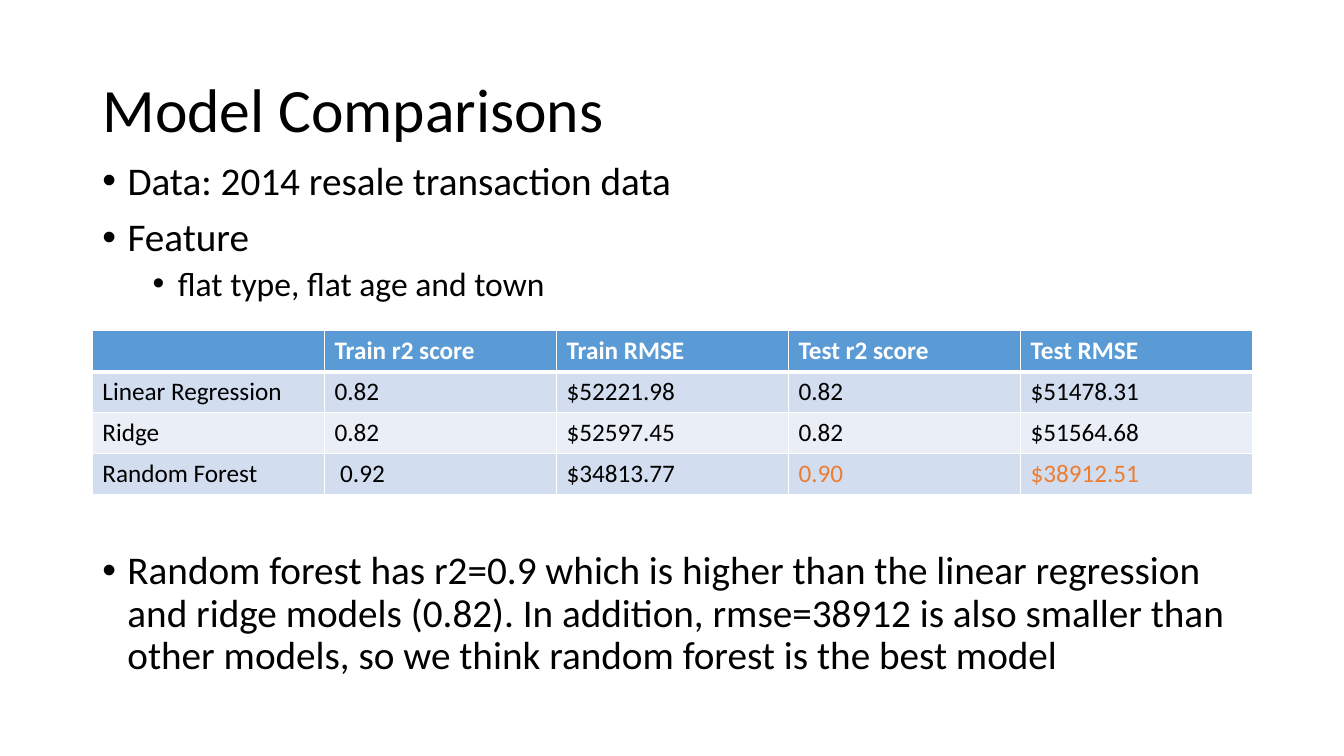
from dataclasses import dataclass

from lxml.etree import SubElement
from pptx import Presentation
from pptx.dml.color import RGBColor
from pptx.enum.text import MSO_ANCHOR, MSO_AUTO_SIZE, PP_ALIGN
from pptx.oxml.ns import qn
from pptx.util import Pt

PX = 9525  # EMU per px, 96 px to the inch


@dataclass(frozen=True)
class Theme:
    font: str = "Calibri"
    ink: str = "000000"
    white: str = "FFFFFF"
    header: str = "5B9BD5"
    bands: tuple = ("D2DEEF", "EAEFF7")
    best: str = "ED7D31"
    title_size: int = 44
    body_sizes: tuple = (28, 24)
    table_size: int = 18


theme = Theme()


def add_span(para, text, size, color, bold=False):
    span = para.add_run()
    span.text = text
    span.font.name = theme.font
    span.font.size = Pt(size)
    span.font.bold = bold
    span.font.color.rgb = RGBColor.from_string(color)


def add_border(cell, side, points):
    line = SubElement(cell._tc.get_or_add_tcPr(), qn(f"a:{side}"), w=str(Pt(points)))
    fill = SubElement(line, qn("a:solidFill"))
    SubElement(fill, qn("a:srgbClr"), val=theme.white)


deck = Presentation()
deck.slide_width, deck.slide_height = 1280 * PX, 720 * PX
page = deck.slides.add_slide(deck.slide_layouts[5])

# Title
title = page.shapes.title
title.left, title.top, title.width, title.height = 88 * PX, 38 * PX, 1104 * PX, 139 * PX
title.text_frame.auto_size = MSO_AUTO_SIZE.NONE
title.text_frame.vertical_anchor = MSO_ANCHOR.MIDDLE
para = title.text_frame.paragraphs[0]
para.alignment = PP_ALIGN.LEFT
para.line_spacing = 0.9
add_span(para, "Model Comparisons", theme.title_size, theme.ink)

# Bullet lists above and below the table: (left, top, width, height), (level, text)
bullet_lists = [
    ((88, 149, 595, 160), [
        (0, "Data: 2014 resale transaction data"),
        (0, "Feature"),
        (1, "flat type, flat age and town"),
    ]),
    ((88, 520, 1104, 160), [
        (0, "Random forest has r2=0.9 which is higher than the linear regression "
            "and ridge models (0.82). In addition, rmse=38912 is also smaller than "
            "other models, so we think random forest is the best model"),
    ]),
]
for place, items in bullet_lists:
    box = page.shapes.add_textbox(*(length * PX for length in place))
    box.text_frame.word_wrap = True
    for index, (level, text) in enumerate(items):
        para = box.text_frame.paragraphs[0] if index == 0 else box.text_frame.add_paragraph()
        para.level = level
        para.line_spacing = 0.9
        para.space_before = Pt((10, 5)[level])
        properties = para._p.get_or_add_pPr()
        properties.set("marL", str((24 + 48 * level) * PX))
        properties.set("indent", str(-24 * PX))
        SubElement(properties, qn("a:buFont"), typeface="Arial")
        SubElement(properties, qn("a:buChar"), char="•")
        add_span(para, text, theme.body_sizes[level], theme.ink)

# Score table
scores = [
    ["", "Train r2 score", "Train RMSE", "Test r2 score", "Test RMSE"],
    ["Linear Regression", "0.82", "$52221.98", "0.82", "$51478.31"],
    ["Ridge", "0.82", "$52597.45", "0.82", "$51564.68"],
    ["Random Forest", " 0.92", "$34813.77", "0.90", "$38912.51"],
]
best_scores = {(3, 3), (3, 4)}
table = page.shapes.add_table(
    len(scores), len(scores[0]), 88 * PX, 315 * PX, 1105 * PX, 156 * PX).table
for row, texts in enumerate(scores):
    is_header = row == 0
    for column, text in enumerate(texts):
        cell = table.cell(row, column)
        for side in ("lnL", "lnR", "lnT", "lnB"):
            meets_header = (row, side) in {(0, "lnB"), (1, "lnT")}
            add_border(cell, side, 3 if meets_header else 1)
        cell.fill.solid()
        fill = theme.header if is_header else theme.bands[(row - 1) % 2]
        cell.fill.fore_color.rgb = RGBColor.from_string(fill)
        if text:
            color = theme.best if (row, column) in best_scores else theme.ink
            add_span(cell.text_frame.paragraphs[0], text, theme.table_size,
                     theme.white if is_header else color, is_header)

deck.save("out.pptx")
